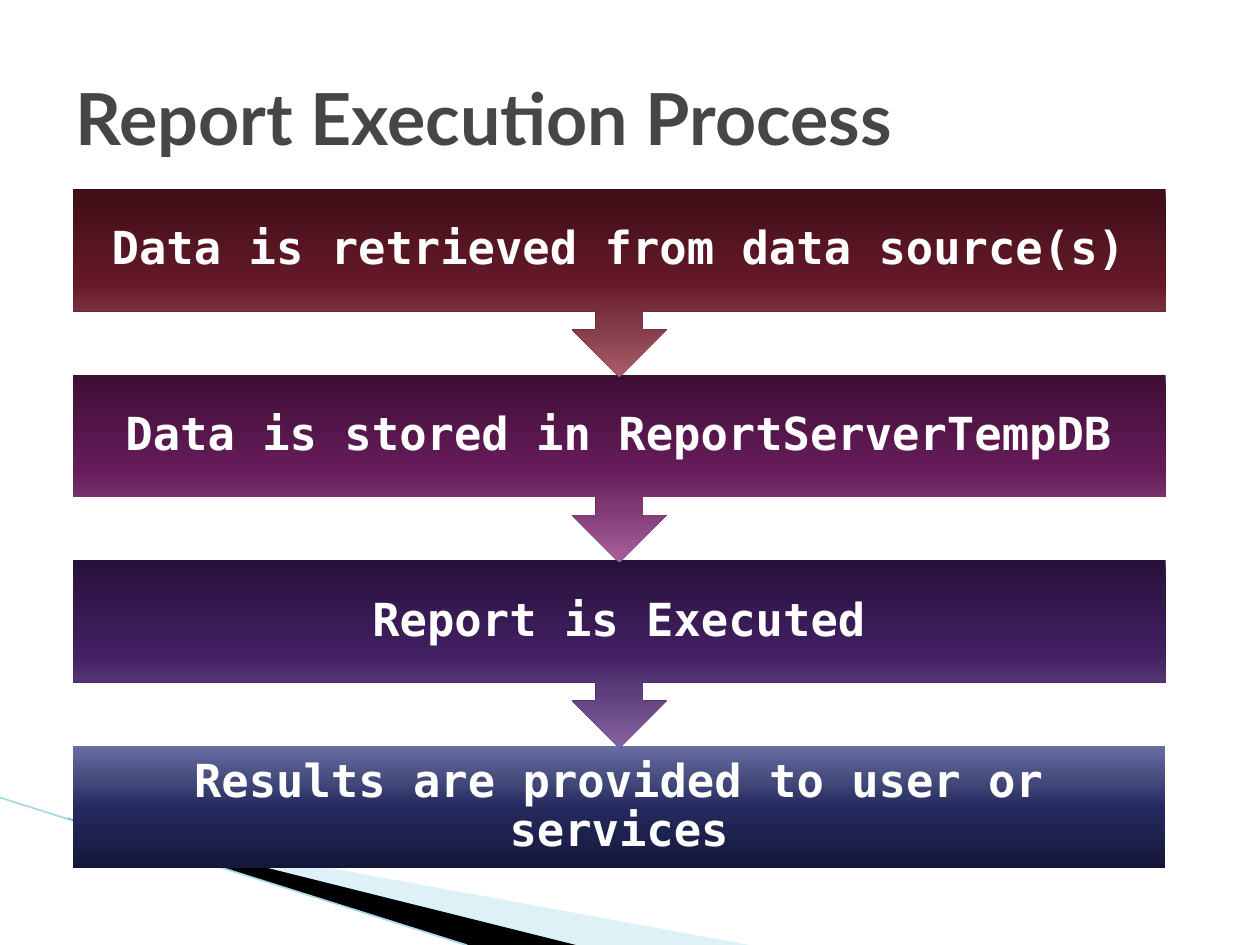
from dataclasses import dataclass

from lxml.etree import SubElement
from pptx import Presentation
from pptx.dml.color import RGBColor
from pptx.enum.shapes import MSO_CONNECTOR as Connector, MSO_SHAPE as Shape
from pptx.enum.text import MSO_ANCHOR as Anchor, PP_ALIGN as Align
from pptx.oxml.ns import qn
from pptx.util import Inches, Pt


@dataclass(frozen=True)
class Theme:
    """Colours, fonts and type sizes of the deck."""
    title_font: str = "Lato"
    step_font: str = "DejaVu Sans Mono"
    title_size: int = 41
    step_size: int = 26
    title: str = "464646"
    step: str = "FFFFFF"
    pale: str = "ABDEEA"
    band: str = "000000"
    edge: str = "A3D9E7"
    red: tuple = ("3E0E17", "651928", "7F3745", "AA5D6B")
    plum: tuple = ("3E0F35", "651B59", "7E3973", "A7609B")
    violet: tuple = ("28113C", "422061", "5E3E7B", "8664A4")
    navy: tuple = ("15173A", "252A5E", "424879", "696EA3")
    stops: tuple = (0, 50, 70, 100)


def write_text(box, text, *, font, size, color, align=Align.LEFT, inset=(1, 0.5),
               spacing=1.0, after=0):
    """Write one bold, vertically centred paragraph into a box."""
    frame = box.text_frame
    frame.word_wrap = True
    frame.vertical_anchor = Anchor.MIDDLE
    frame.margin_left = frame.margin_right = Inches(inset[0] / 10)
    frame.margin_top = frame.margin_bottom = Inches(inset[1] / 10)
    para = frame.paragraphs[0]
    para.alignment, para.line_spacing, para.space_after = align, spacing, Pt(after)
    span = para.add_run()
    span.text = text
    span.font.name, span.font.size, span.font.bold = font, Pt(size), True
    span.font.color.rgb = RGBColor.from_string(color)


class Page:
    """Draws elements on a grid of 100 columns by 75 rows."""

    def __init__(self, deck, theme):
        """Add a blank slide and measure its grid."""
        self.theme = theme
        self.column, self.row = deck.slide_width / 100, deck.slide_height / 75
        self.shapes = deck.slides.add_slide(deck.slide_layouts[6]).shapes

    def place(self, column, row):
        """Turn a grid position or size into slide lengths."""
        return round(column * self.column), round(row * self.row)

    def area(self, left, top, width, height):
        """Turn a grid area into slide lengths."""
        return *self.place(left, top), *self.place(width, height)

    def text(self, area, text, **style):
        """Add a text box."""
        write_text(self.shapes.add_textbox(*self.area(*area)), text, **style)

    def polygon(self, points, color, opacity=100):
        """Add a closed, filled outline."""
        first, *rest = (self.place(*point) for point in points)
        builder = self.shapes.build_freeform(*first)
        builder.add_line_segments(rest, close=True)
        shape = builder.convert_to_shape()
        shape.shadow.inherit = False
        shape.line.fill.background()
        shape.fill.solid()
        shape.fill.fore_color.rgb = RGBColor.from_string(color)
        if opacity < 100:
            tint = shape.fill._xPr.find(f".//{qn('a:srgbClr')}")
            SubElement(tint, qn("a:alpha"), val=str(opacity * 1000))

    def line(self, start, end, color, width):
        """Add a straight line without shadow."""
        line = self.shapes.add_connector(
            Connector.STRAIGHT, *self.place(*start), *self.place(*end))
        line.line.color.rgb = RGBColor.from_string(color)
        line.line.width = Pt(width)
        SubElement(line._element.spPr, qn("a:effectLst"))

    def gradient(self, shape, colors):
        """Fill a shape from its bottom edge to its top edge."""
        shape.fill.gradient()
        shape.fill.gradient_angle = 90
        stops = shape.fill._xPr.find(f".//{qn('a:gsLst')}")
        for stop in list(stops):
            stops.remove(stop)
        for position, color in zip(self.theme.stops, colors):
            stop = SubElement(stops, qn("a:gs"), pos=str(position * 1000))
            SubElement(stop, qn("a:srgbClr"), val=color)

    def step(self, top, text, colors, last):
        """Add a process step, with an arrow to the next unless it is the last."""
        left, width, height, arrow_height = 5.8, 86.7, 9.7, 14.9
        kind = Shape.RECTANGLE if last else Shape.UP_ARROW_CALLOUT
        shape = self.shapes.add_shape(
            kind, *self.area(left, top, width, height if last else arrow_height))
        if not last:
            shape.rotation = 180
            for index, value in enumerate((0.25, 0.25, 0.25, 0.65)):
                shape.adjustments[index] = value
        shape.shadow.inherit = False
        shape.line.fill.background()
        self.gradient(shape, colors)
        self.text((left, top, width, height), text, font=self.theme.step_font,
                  size=self.theme.step_size, color=self.theme.step, align=Align.CENTER,
                  inset=(2, 2), spacing=0.9, after=9.1)


def main():
    """Build the report execution slide."""
    deck = Presentation()
    deck.slide_width, deck.slide_height = Inches(10), Inches(7.5)
    theme = Theme()
    page = Page(deck, theme)
    page.polygon([(5.5, 65.1), (59.5, 75), (45.6, 75), (5.5, 65)], theme.pale, opacity=40)
    page.polygon([(5.3, 64.9), (45.7, 75), (37.2, 75), (5.4, 65)], theme.band)
    page.line((0, 63.3), (37, 75), theme.edge, 0.95)
    page.text((5, 3, 90, 12.5), "Report Execution Process", font=theme.title_font,
              size=theme.title_size, color=theme.title)
    steps = [
        ("Data is retrieved from data source(s)", theme.red),
        ("Data is stored in ReportServerTempDB", theme.plum),
        ("Report is Executed", theme.violet),
        ("Results are provided to user or services", theme.navy),
    ]
    first_top, pitch = 15, 14.73
    for index, (text, colors) in reversed(list(enumerate(steps))):
        page.step(first_top + index * pitch, text, colors, last=index == len(steps) - 1)
    deck.save("out.pptx")


if __name__ == "__main__":
    main()
